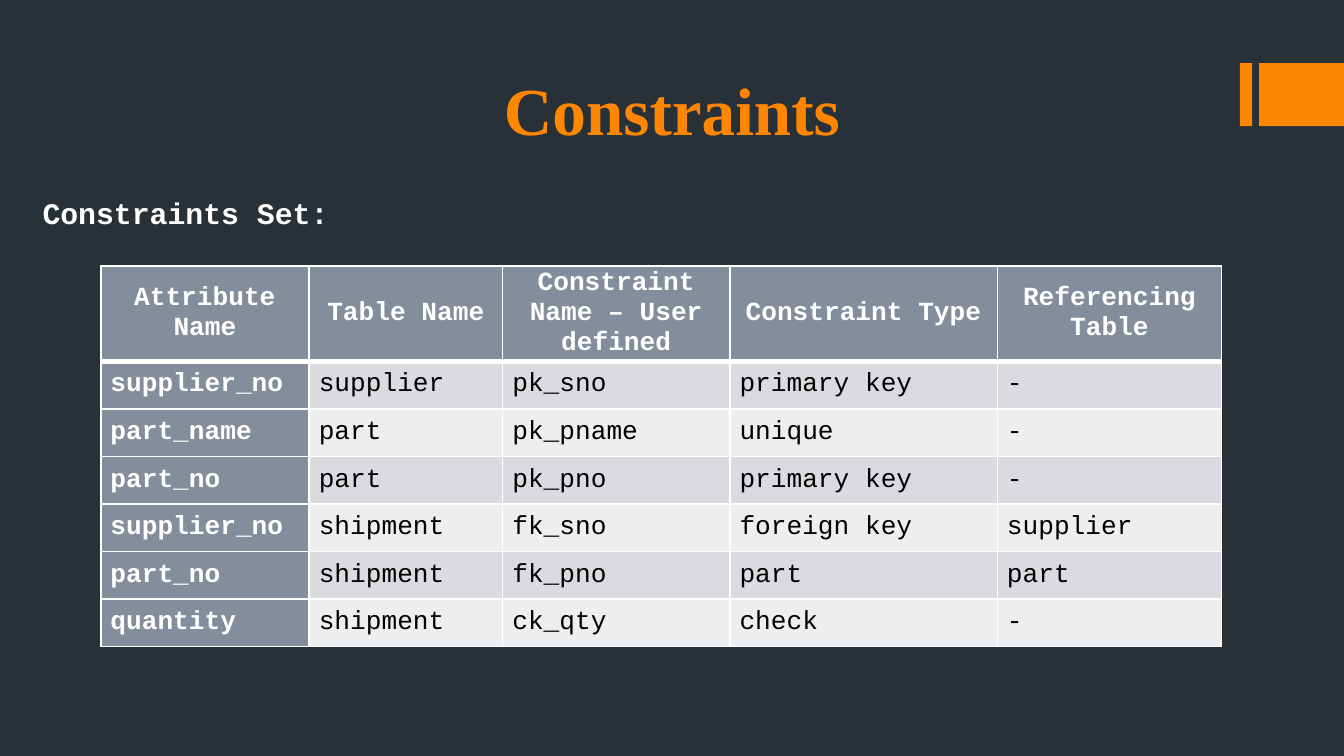
from dataclasses import dataclass

from lxml import etree
from pptx import Presentation
from pptx.dml.color import RGBColor
from pptx.enum import shapes, text
from pptx.oxml import ns
from pptx.util import Pt


@dataclass(frozen=True)
class Theme:
    background: str = "283138"
    accent: str = "FF8600"
    light: str = "FFFFFF"
    dark: str = "000000"
    header: str = "838D9B"
    bands: tuple = ("D9DBDE", "EDEEEF")
    title_font: str = "Times New Roman"
    body_font: str = "Courier New"
    title_size: int = 36
    body_size: int = 16
    table_size: int = 14


THEME = Theme()
COLUMN_WIDTHS = (111.6, 103.7, 121.7, 143.3, 120.2)
HEADER_HEIGHT = 51
ROW_HEIGHT = 25.5
ROWS = (
    ("Attribute Name", "Table Name", "Constraint Name – User defined",
     "Constraint Type", "Referencing Table"),
    ("supplier_no", "supplier", "pk_sno", "primary key", "-"),
    ("part_name", "part", "pk_pname", "unique", "-"),
    ("part_no", "part", "pk_pno", "primary key", "-"),
    ("supplier_no", "shipment", "fk_sno", "foreign key", "supplier"),
    ("part_no", "shipment", "fk_pno", "part", "part"),
    ("quantity", "shipment", "ck_qty", "check", "-"),
)


def paint(fill, color):
    fill.solid()
    fill.fore_color.rgb = RGBColor.from_string(color)


def add_span(para, words, size, color, font=THEME.body_font, bold=True):
    span = para.add_run()
    span.text = words
    span.font.name = font
    span.font.size = Pt(size)
    span.font.bold = bold
    span.font.color.rgb = RGBColor.from_string(color)


def add_accent_bar(page, left, width):
    bar = page.shapes.add_shape(
        shapes.MSO_SHAPE.RECTANGLE, Pt(left), Pt(33.8), Pt(width), Pt(33.8))
    bar.shadow.inherit = False
    paint(bar.fill, THEME.accent)
    bar.line.fill.background()


def set_title(page, words):
    title = page.shapes.title
    title.left, title.top, title.width, title.height = Pt(72), Pt(15), Pt(576), Pt(68.5)
    frame = title.text_frame
    frame.vertical_anchor = text.MSO_ANCHOR.BOTTOM
    para = frame.paragraphs[0]
    para.alignment = text.PP_ALIGN.CENTER
    add_span(para, words, THEME.title_size, THEME.accent, THEME.title_font)


def add_caption(page, words):
    box = page.shapes.add_textbox(Pt(12), Pt(101), Pt(696), Pt(30))
    frame = box.text_frame
    frame.word_wrap = True
    frame.margin_left = Pt(10.8)
    para = frame.paragraphs[0]
    para.space_before = Pt(3.2)
    add_span(para, words, THEME.body_size, THEME.light)


def set_borders(cell, widths):
    properties = cell._tc.get_or_add_tcPr()
    for index, (side, width) in enumerate(widths.items()):
        line = etree.Element(ns.qn(f"a:ln{side}"), w=str(Pt(width)))
        fill = etree.SubElement(line, ns.qn("a:solidFill"))
        etree.SubElement(fill, ns.qn("a:srgbClr"), val=THEME.light)
        properties.insert(index, line)


def fill_cell(cell, words, row, column):
    is_header = row == 0
    is_label = is_header or column == 0
    cell.margin_left = cell.margin_right = Pt(5.2)
    cell.margin_top = cell.margin_bottom = 0
    cell.vertical_anchor = text.MSO_ANCHOR.MIDDLE
    paint(cell.fill, THEME.header if is_label else THEME.bands[(row - 1) % 2])
    set_borders(cell, {"L": 1, "R": 1, "T": 3 if row == 1 else 1,
                       "B": 3 if is_header else 1})
    para = cell.text_frame.paragraphs[0]
    para.alignment = text.PP_ALIGN.CENTER if is_header else text.PP_ALIGN.LEFT
    add_span(para, words, THEME.table_size,
             THEME.light if is_label else THEME.dark, bold=is_label)


def add_constraint_table(page):
    height = HEADER_HEIGHT + ROW_HEIGHT * (len(ROWS) - 1)
    table = page.shapes.add_table(
        len(ROWS), len(COLUMN_WIDTHS), Pt(54), Pt(142.5),
        Pt(sum(COLUMN_WIDTHS)), Pt(height)).table
    for column, width in zip(table.columns, COLUMN_WIDTHS):
        column.width = Pt(width)
    for row, values in enumerate(ROWS):
        table.rows[row].height = Pt(ROW_HEIGHT if row else HEADER_HEIGHT)
        for column, words in enumerate(values):
            fill_cell(table.cell(row, column), words, row, column)


def main():
    deck = Presentation()
    deck.slide_width, deck.slide_height = Pt(720), Pt(405)
    page = deck.slides.add_slide(deck.slide_layouts.get_by_name("Title Only"))
    paint(page.background.fill, THEME.background)
    add_accent_bar(page, 664.2, 6.6)
    add_accent_bar(page, 674.6, 45.4)
    set_title(page, "Constraints")
    add_caption(page, "Constraints Set:")
    add_constraint_table(page)
    deck.save("out.pptx")


if __name__ == "__main__":
    main()
